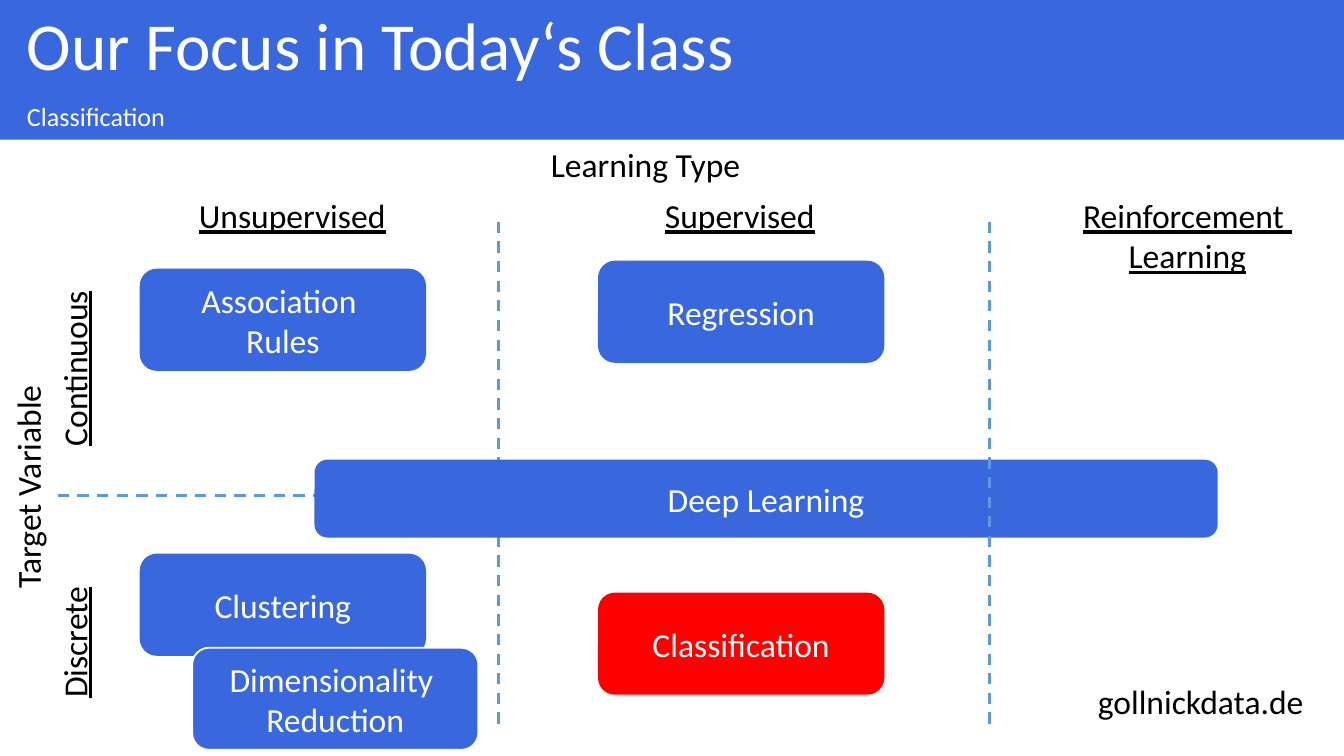
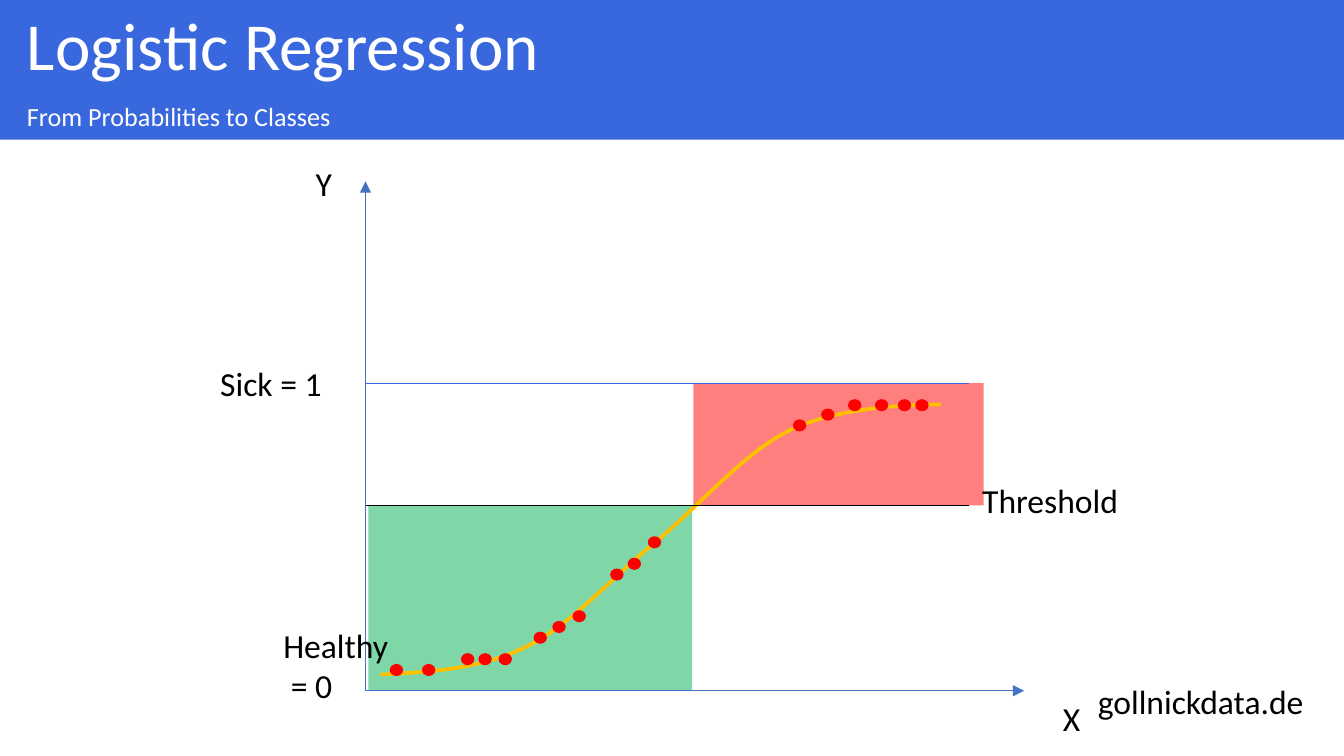
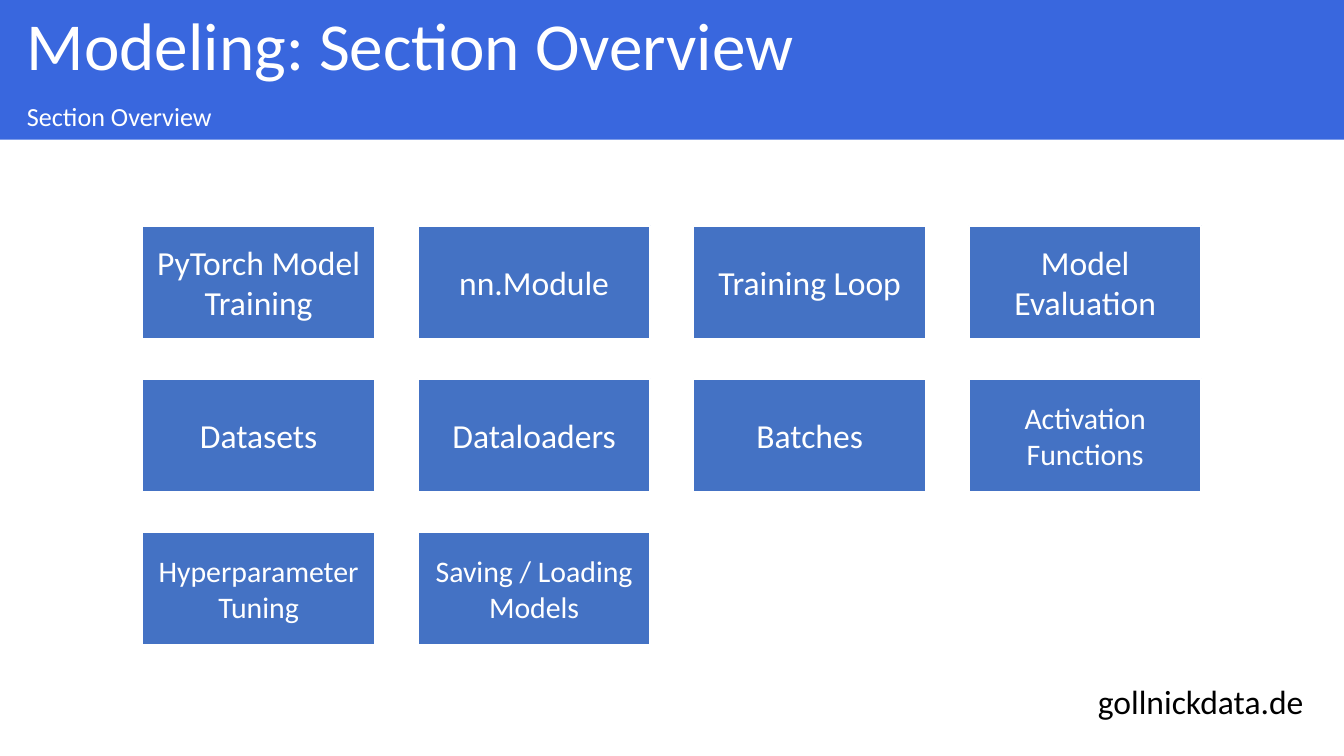
from lxml.etree import SubElement
from pptx import Presentation
from pptx.dml.color import RGBColor
from pptx.enum.dml import MSO_LINE
from pptx.enum.shapes import MSO_CONNECTOR, MSO_SHAPE
from pptx.enum.text import MSO_ANCHOR, MSO_AUTO_SIZE, PP_ALIGN
from pptx.oxml.ns import qn
from pptx.util import Inches, Pt

BLUE = RGBColor(0x39, 0x67, 0xDE)
STEEL = RGBColor(0x44, 0x72, 0xC4)
SKY = RGBColor(0x5B, 0x9B, 0xD5)
RED = RGBColor(0xFF, 0x00, 0x00)
GREEN = RGBColor(0x00, 0xB0, 0x50)
AMBER = RGBColor(0xFF, 0xC0, 0x00)
BLACK = RGBColor(0x00, 0x00, 0x00)
WHITE = RGBColor(0xFF, 0xFF, 0xFF)
FONT = "Calibri"

CURVE_START = (2.83, 5.02)
CURVE_POINTS = [
    (3.2, 5), (3.58, 4.98), (3.92, 4.81),
    (4.25, 4.65), (4.54, 4.31), (4.87, 4.04),
    (5.2, 3.77), (5.53, 3.37), (5.88, 3.2),
    (6.24, 3.03), (6.76, 3.01), (7, 3.01),
]
DOTS = [
    (2.9, 4.94), (3.14, 4.94), (3.43, 4.86), (3.56, 4.86), (3.71, 4.86),
    (3.97, 4.7), (4.11, 4.62), (4.26, 4.54), (4.54, 4.23), (4.67, 4.15),
    (4.82, 3.99), (5.9, 3.12), (6.11, 3.04), (6.31, 2.97), (6.51, 2.97),
    (6.68, 2.97), (6.81, 2.97),
]
TOPICS = [
    [("PyTorch Model Training", 18), ("nn.Module", 18),
     ("Training Loop", 18), ("Model Evaluation", 18)],
    [("Datasets", 18), ("Dataloaders", 18),
     ("Batches", 18), ("Activation Functions", 16)],
    [("Hyperparameter Tuning", 16), ("Saving / Loading Models", 16)],
]


def write(frame, text, size, color, align=PP_ALIGN.LEFT, underline=None):
    for index, line in enumerate(text.split("\n")):
        para = frame.add_paragraph() if index else frame.paragraphs[0]
        para.alignment = align
        span = para.add_run()
        span.text = line
        span.font.name = FONT
        span.font.size = Pt(size)
        span.font.color.rgb = color
        span.font.underline = underline


def place(item, left, top, width, height):
    item.left, item.top = Inches(left), Inches(top)
    item.width, item.height = Inches(width), Inches(height)


def add_band(holder, text, size, top, height):
    place(holder, 0, top, 10, height)
    holder.fill.solid()
    holder.fill.fore_color.rgb = BLUE
    frame = holder.text_frame
    frame.auto_size = MSO_AUTO_SIZE.NONE
    frame.vertical_anchor = MSO_ANCHOR.MIDDLE
    frame.margin_left = Inches(0.2)
    para = frame.paragraphs[0]
    properties = para._p.get_or_add_pPr()
    properties.set("marL", "0")
    properties.set("indent", "0")
    SubElement(properties, qn("a:buNone"))
    para.line_spacing = 0.9
    para.space_before = Pt(0)
    write(frame, text, size, WHITE)


def add_label(page, text, left, top, width, height=0.4, align=PP_ALIGN.LEFT,
              underline=None, wrap=False, rotation=0):
    box = page.shapes.add_textbox(Inches(left), Inches(top), Inches(width), Inches(height))
    box.rotation = rotation
    box.text_frame.word_wrap = wrap
    box.text_frame.auto_size = MSO_AUTO_SIZE.SHAPE_TO_FIT_TEXT
    write(box.text_frame, text, 18, BLACK, align, underline)


def add_heading(page, text, left, width):
    add_label(page, text, left, 1.4, width, 0.71, PP_ALIGN.CENTER, True, True)


def add_row_heading(page, text, top):
    add_label(page, text, -0.18, top, 1.77, 0.71, underline=True, wrap=True, rotation=270)


def add_block(page, kind, left, top, width, height, fill, text="", size=18,
              outline=None, opacity=None):
    block = page.shapes.add_shape(kind, Inches(left), Inches(top), Inches(width), Inches(height))
    block.shadow.inherit = False
    block.fill.solid()
    block.fill.fore_color.rgb = fill
    if opacity:
        color = block._element.spPr.find(qn("a:solidFill"))[0]
        SubElement(color, qn("a:alpha")).set("val", str(opacity * 1000))
    if outline is None:
        block.line.fill.background()
    else:
        block.line.color.rgb = outline
        block.line.width = Pt(1)
    if text:
        block.text_frame.vertical_anchor = MSO_ANCHOR.MIDDLE
        write(block.text_frame, text, size, WHITE, PP_ALIGN.CENTER)


def add_method(page, text, left, top, width=2.13, height=0.76, fill=BLUE, outline=None):
    add_block(page, MSO_SHAPE.ROUNDED_RECTANGLE, left, top, width, height, fill, text,
              outline=outline)


def add_line(page, start, end, color, width, dashed=False, arrow=False):
    line = page.shapes.add_connector(MSO_CONNECTOR.STRAIGHT, *map(Inches, start + end))
    line.line.color.rgb = color
    line.line.width = Pt(width)
    if dashed:
        line.line.dash_style = MSO_LINE.DASH
    if arrow:
        SubElement(line.line._get_or_add_ln(), qn("a:tailEnd")).set("type", "triangle")
    SubElement(line._element.spPr, qn("a:effectLst"))


def add_divider(page, start, end):
    add_line(page, start, end, SKY, 1.5, dashed=True)


def add_curve(page):
    builder = page.shapes.build_freeform(*map(Inches, CURVE_START))
    builder.add_line_segments([tuple(map(Inches, point)) for point in CURVE_POINTS], close=False)
    curve = builder.convert_to_shape()
    segments = list(curve._element.iter(qn("a:lnTo")))
    for index in range(0, len(segments), 3):
        first, *others = segments[index:index + 3]
        first.tag = qn("a:cubicBezTo")
        for segment in others:
            first.append(segment[0])
            segment.getparent().remove(segment)
    curve.shadow.inherit = False
    curve.fill.background()
    curve.line.color.rgb = AMBER
    curve.line.width = Pt(2)


def add_page(deck, title, subtitle):
    page = deck.slides.add_slide(deck.slide_layouts[1])
    add_band(page.shapes.title, title, 36, 0, 0.73)
    add_band(page.placeholders[1], subtitle, 14, 0.72, 0.32)
    add_label(page, "gollnickdata.de", 8.07, 5.02, 1.89, wrap=True)
    return page


def add_focus_page(deck):
    page = add_page(deck, "Our Focus in Today‘s Class", "Classification")
    add_divider(page, (0.43, 3.69), (7.94, 3.69))
    add_divider(page, (3.71, 1.65), (3.71, 5.42))
    add_label(page, "Learning Type", 4, 1.02, 1.61)
    add_heading(page, "Unsupervised", 0.51, 3.33)
    add_heading(page, "Supervised", 3.84, 3.33)
    add_heading(page, "Reinforcement \nLearning", 7.45, 2.77)
    add_label(page, "Target Variable", -0.65, 3.42, 1.71, rotation=270)
    add_row_heading(page, "Continuous", 2.18)
    add_row_heading(page, "Discrete", 4.05)
    add_method(page, "Association \nRules", 1.04, 2)
    add_method(page, "Clustering", 1.04, 4.12)
    add_method(page, "Dimensionality \nReduction", 1.43, 4.82, outline=WHITE)
    add_method(page, "Regression", 4.45, 1.94)
    add_method(page, "Classification", 4.45, 4.41, fill=RED)
    add_method(page, "Deep Learning", 2.34, 3.42, 6.72, 0.58)
    add_divider(page, (7.36, 1.65), (7.36, 5.42))


def add_regression_page(deck):
    page = add_page(deck, "Logistic Regression", "From Probabilities to Classes")
    add_block(page, MSO_SHAPE.RECTANGLE, 5.16, 2.85, 2.16, 0.91, RED, opacity=50)
    add_block(page, MSO_SHAPE.RECTANGLE, 2.74, 3.76, 2.41, 1.38, GREEN, opacity=50)
    origin = (2.72, 5.14)
    add_line(page, origin, (2.72, 1.35), STEEL, 0.5, arrow=True)
    add_line(page, origin, (7.62, 5.14), STEEL, 0.5, arrow=True)
    add_line(page, (2.72, 2.85), (7.21, 2.85), BLUE, 0.5)
    add_label(page, "X", 7.81, 5.14, 0.41, 0.45)
    add_label(page, "Y", 2.25, 1.16, 0.4, 0.45)
    add_label(page, "Sick = 1", 1.54, 2.65, 1.2, 0.45)
    add_curve(page)
    add_label(page, "Healthy\n = 0", 2.01, 4.6, 1.23, 0.79)
    add_line(page, (2.72, 3.76), (7.21, 3.76), BLACK, 0.5)
    add_label(page, "Threshold", 7.21, 3.52, 1.22)
    for left, top in DOTS:
        add_block(page, MSO_SHAPE.OVAL, left, top, 0.1, 0.09, RED)


def add_overview_page(deck):
    page = add_page(deck, "Modeling: Section Overview", "Section Overview")
    for row, topics in enumerate(TOPICS):
        for column, (topic, size) in enumerate(topics):
            add_block(page, MSO_SHAPE.RECTANGLE, 1.06 + 2.05 * column, 1.68 + 1.14 * row,
                      1.73, 0.84, STEEL, topic, size, WHITE)


def main():
    deck = Presentation()
    deck.slide_width = Inches(10)
    deck.slide_height = deck.slide_width * 9 // 16
    add_focus_page(deck)
    add_regression_page(deck)
    add_overview_page(deck)
    deck.save("out.pptx")


if __name__ == "__main__":
    main()
